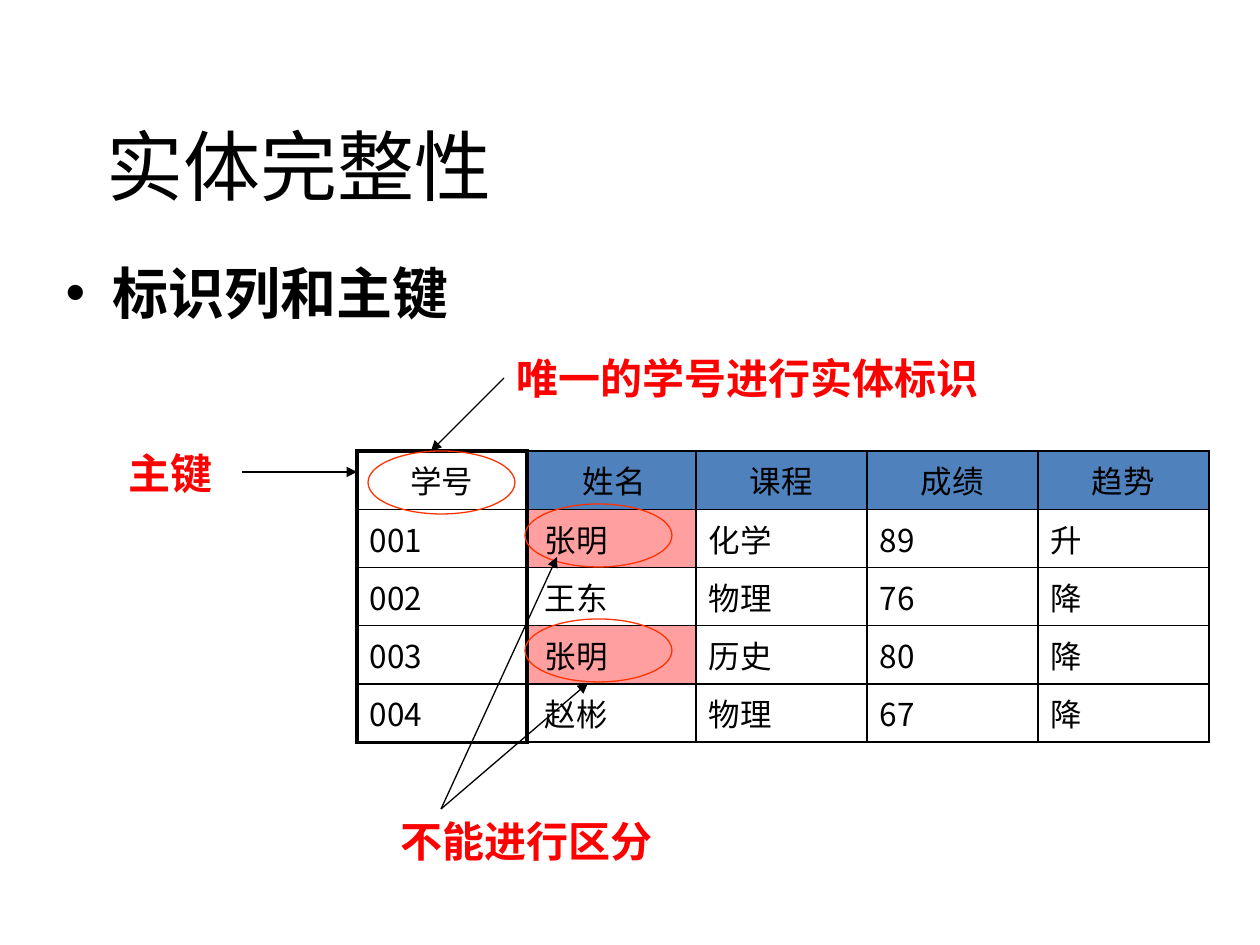
import pptx
import pptx.dml.color
import pptx.enum.shapes
import pptx.enum.text
import pptx.oxml
import pptx.oxml.ns
import pptx.util

PX_PER_INCH = 126
COLORS = {
    "text": "000000",
    "note": "FF0000",
    "ring": "FF3300",
    "header": "4F81BD",
    "duplicate": "FF9F9F",
    "plain": "FFFFFF",
}
ALIGN = pptx.enum.text.PP_ALIGN
ANCHOR = pptx.enum.text.MSO_ANCHOR
AUTO_SIZE = pptx.enum.text.MSO_AUTO_SIZE


def px(length):
    return pptx.util.Emu(round(length * 914400 / PX_PER_INCH))


def rgb(name):
    return pptx.dml.color.RGBColor.from_string(COLORS[name])


def add_xml(parent, xml):
    parent.append(pptx.oxml.parse_xml(xml.replace(">", f" {pptx.oxml.ns.nsdecls('a')}>", 1)))


class SlideBuilder:
    table_font = "Noto Sans CJK SC"
    note_font = "Cambria"
    line_width = pptx.util.Pt(0.75)

    def __init__(self, slide):
        self.slide = slide

    def set_text(self, paragraph, text, size, font, color="text", bold=False, align=ALIGN.LEFT):
        paragraph.text = text
        paragraph.alignment = align
        paragraph.font.size = pptx.util.Pt(size)
        paragraph.font.name = font
        paragraph.font.bold = bold
        paragraph.font.color.rgb = rgb(color)

    def placeholder(self, index, box, text, size, font, **style):
        shape = self.slide.placeholders[index]
        shape.left, shape.top, shape.width, shape.height = map(px, box)
        shape.text_frame.auto_size = AUTO_SIZE.NONE
        self.set_text(shape.text_frame.paragraphs[0], text, size, font, **style)

    def note(self, box, text):
        frame = self.slide.shapes.add_textbox(*map(px, box)).text_frame
        frame.word_wrap = True
        frame.auto_size = AUTO_SIZE.SHAPE_TO_FIT_TEXT
        frame.vertical_anchor = ANCHOR.BOTTOM
        self.set_text(frame.paragraphs[0], text, 24, self.note_font, color="note", bold=True)

    def ring(self, left, top):
        oval = pptx.enum.shapes.MSO_SHAPE.OVAL
        shape = self.slide.shapes.add_shape(oval, *map(px, (left, top, 147, 63)))
        shape.shadow.inherit = False
        shape.fill.background()
        shape.line.color.rgb = rgb("ring")
        shape.line.width = self.line_width

    def arrow(self, start, end):
        straight = pptx.enum.shapes.MSO_CONNECTOR.STRAIGHT
        connector = self.slide.shapes.add_connector(straight, *map(px, start + end))
        connector.line.color.rgb = rgb("text")
        connector.line.width = self.line_width
        add_xml(connector.line._get_or_add_ln(), '<a:tailEnd type="triangle"></a:tailEnd>')
        add_xml(connector._element.spPr, "<a:effectLst></a:effectLst>")

    def borders(self, cell, widths):
        properties = cell._tc.get_or_add_tcPr()
        for side, width in zip("LRTB", widths):
            add_xml(
                properties,
                f'<a:ln{side} w="{int(pptx.util.Pt(width))}"><a:solidFill>'
                f'<a:srgbClr val="{COLORS["text"]}"/></a:solidFill></a:ln{side}>',
            )

    def table(self, left, top, column_width, row_height, rows, fill_for, outer_width):
        row_count, column_count = len(rows), len(rows[0])
        size = (column_width * column_count, row_height * row_count)
        box = map(px, (left, top) + size)
        table = self.slide.shapes.add_table(row_count, column_count, *box).table
        table.first_row = table.horz_banding = False
        for row_index, row in enumerate(rows):
            for column_index, text in enumerate(row):
                cell = table.cell(row_index, column_index)
                at_edge = (
                    column_index == 0,
                    column_index == column_count - 1,
                    row_index == 0,
                    row_index == row_count - 1,
                )
                self.borders(cell, [outer_width if edge else 1 for edge in at_edge])
                cell.fill.solid()
                cell.fill.fore_color.rgb = rgb(fill_for(row_index, text))
                cell.vertical_anchor = ANCHOR.MIDDLE if row_index else ANCHOR.TOP
                align = ALIGN.LEFT if row_index else ALIGN.CENTER
                paragraph = cell.text_frame.paragraphs[0]
                self.set_text(paragraph, text, 18, self.table_font, align=align)


def grade_fill(row_index, text):
    if row_index == 0:
        return "header"
    return "duplicate" if text == " 张明" else "plain"


def main():
    presentation = pptx.Presentation()
    presentation.slide_width, presentation.slide_height = px(1260), px(945)
    builder = SlideBuilder(presentation.slides.add_slide(presentation.slide_layouts[1]))

    # Title and topic
    builder.placeholder(0, (94, 66, 1061, 198), "实体完整性", 44, "Calibri")
    builder.placeholder(
        1, (53, 252, 809, 94), "标识列和主键", 32, "Arial Narrow", bold=True, align=ALIGN.JUSTIFY
    )

    # Grades, with the key column as its own heavily framed table
    grades = [
        (" 姓名", "课程", "成绩", "趋势"),
        (" 张明", "化学", "89", "升"),
        (" 王东", "物理", "76", "降"),
        (" 张明", "历史", "80", "降"),
        (" 赵彬", "物理", "67", "降"),
    ]
    keys = [("学号",), ("001",), ("002",), ("003",), ("004",)]
    builder.table(525, 451, 171, 58, grades, grade_fill, 1)
    builder.table(357, 451, 170, 58, keys, lambda row_index, text: "plain", 2.25)

    # Unique student number
    builder.note((504, 346, 683, 63), "唯一的学号进行实体标识")
    builder.arrow((504, 378), (431, 451))
    builder.ring(368, 451)

    # Repeated names that cannot be told apart
    builder.note((388, 809, 378, 63), "不能进行区分")
    for ring_top, arrow_end in ((619, (588, 683)), (504, (557, 557))):
        builder.ring(525, ring_top)
        builder.arrow((441, 809), arrow_end)

    # Primary key
    builder.arrow((242, 472), (357, 472))
    builder.note((116, 441, 126, 63), "主键")

    presentation.save("out.pptx")


if __name__ == "__main__":
    main()
